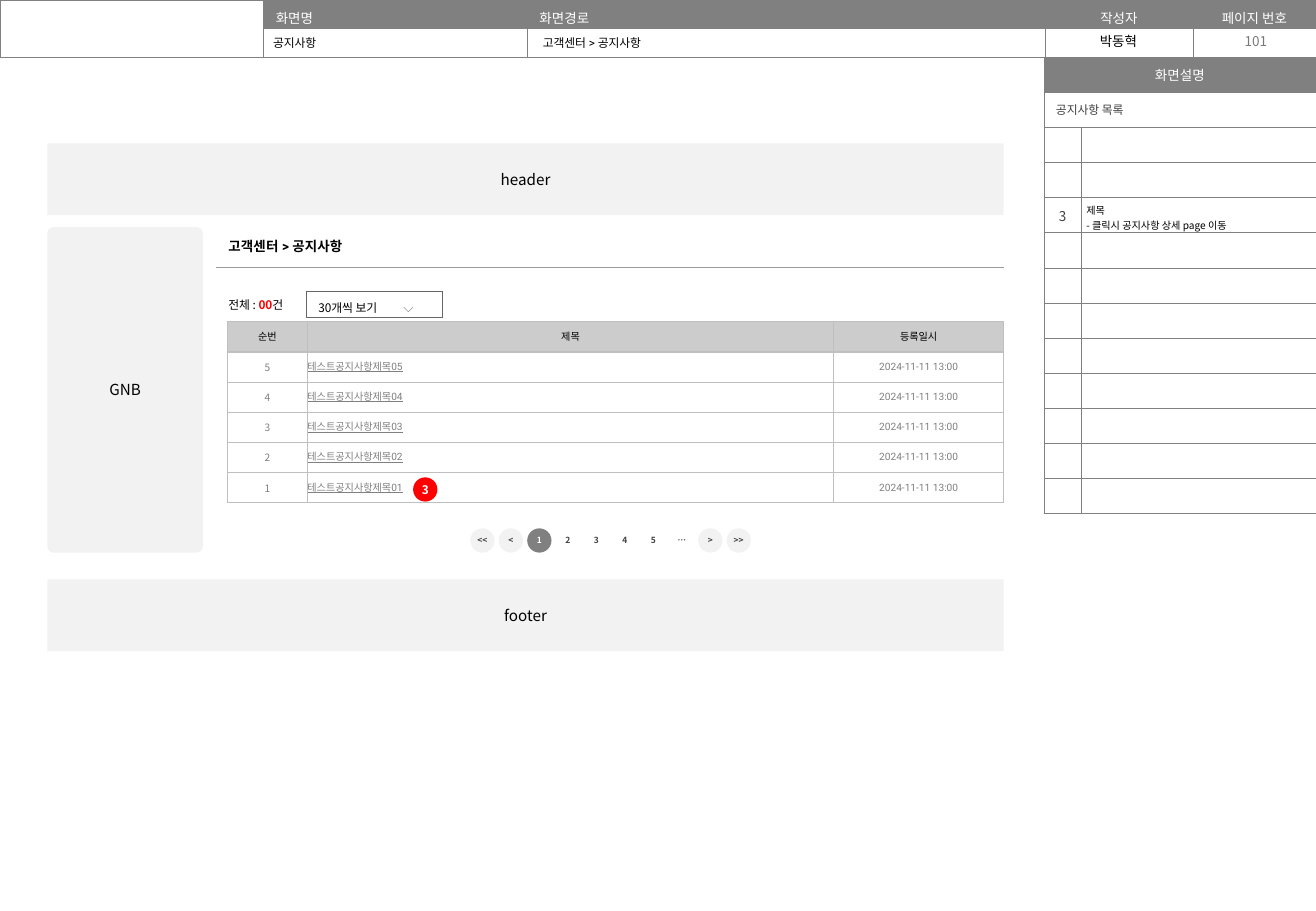
"""Build the notice list wireframe slide with its description panel."""
from dataclasses import dataclass, replace

from lxml.etree import SubElement
from pptx import Presentation
from pptx.dml.color import RGBColor
from pptx.enum.shapes import MSO_SHAPE
from pptx.enum.text import MSO_ANCHOR, PP_ALIGN
from pptx.oxml.ns import qn
from pptx.slide import Slide
from pptx.table import Table, _Cell
from pptx.text.text import TextFrame, _Run
from pptx.util import Inches, Pt

BLACK = RGBColor(0x00, 0x00, 0x00)
WHITE = RGBColor(0xFF, 0xFF, 0xFF)
RED = RGBColor(0xFF, 0x00, 0x00)
GRAY = RGBColor(0x80, 0x80, 0x80)
DARK = RGBColor(0x40, 0x40, 0x40)
PANEL = RGBColor(0xF2, 0xF2, 0xF2)
LIST_HEAD = RGBColor(0xCC, 0xCC, 0xCC)
LIST_LINE = RGBColor(0xBF, 0xBF, 0xBF)
FILTER_LINE = RGBColor(0x66, 0x66, 0x66)
TITLE_LINE = RGBColor(0x99, 0x99, 0x99)
PAGE_NUMBER = RGBColor(0x79, 0x79, 0x79)
NOTO = "Noto Sans CJK KR"
ROBOTO = "Roboto"
NO_STYLE = "{2D5ABB26-0587-4C30-8999-92F81FD0307C}"
LEFT, CENTER = PP_ALIGN.LEFT, PP_ALIGN.CENTER
Margins = tuple[float, float, float, float]
TIGHT: Margins = (0, 0, 0, 0)
NORMAL: Margins = (0.1, 0.05, 0.1, 0.05)
HEADING: Margins = (0.1, 0.05, 0.1, 0)


@dataclass(frozen=True)
class Style:
    size: float
    color: RGBColor = BLACK
    font: str = NOTO
    bold: bool = False
    underline: bool = False


@dataclass(frozen=True)
class Label:
    left: float
    top: float
    width: float
    height: float
    text: str
    style: Style
    align: PP_ALIGN = LEFT


@dataclass(frozen=True)
class Block:
    left: float
    top: float
    width: float
    height: float
    text: str
    style: Style
    fill: RGBColor | None = PANEL
    rounding: float = 0


def format_run(run: _Run, style: Style) -> None:
    """Apply a style to one run, East Asian glyphs included."""
    run.font.size = Pt(style.size)
    run.font.name = style.font
    run.font.bold = style.bold
    run.font.underline = style.underline
    run.font.color.rgb = style.color
    SubElement(run.font._element, qn("a:ea"), typeface=style.font)


def write(frame: TextFrame, text: str, style: Style, align: PP_ALIGN) -> None:
    """Set the text of a frame and format every run."""
    frame.text = text
    for paragraph in frame.paragraphs:
        paragraph.alignment = align
        for run in paragraph.runs:
            format_run(run, style)


def append(frame: TextFrame, text: str, style: Style) -> None:
    """Add a styled run to the first paragraph."""
    run = frame.paragraphs[0].add_run()
    run.text = text
    format_run(run, style)


def set_margins(target: TextFrame | _Cell, margins: Margins) -> None:
    """Set the four inner margins of a frame or cell."""
    (target.margin_left, target.margin_top,
     target.margin_right, target.margin_bottom) = map(Inches, margins)


def add_borders(cell: _Cell, sides: str, color: RGBColor, width: float) -> None:
    """Draw the named sides (from L, R, T, B) of a cell."""
    properties = cell._tc.get_or_add_tcPr()
    for side in sides:
        line = SubElement(properties, qn(f"a:ln{side}"), w=str(Pt(width)))
        fill = SubElement(line, qn("a:solidFill"))
        SubElement(fill, qn("a:srgbClr"), val=str(color))


def add_grid(slide: Slide, left: float, top: float, height: float, columns: list[float],
             row_count: int, color: RGBColor, width: float, sides: str = "LRTB") -> Table:
    """Add an unstyled table with equal rows and uniform borders."""
    table = slide.shapes.add_table(row_count, len(columns), Inches(left), Inches(top),
                                   Inches(sum(columns)), Inches(height)).table
    table._tbl.tblPr.find(qn("a:tableStyleId")).text = NO_STYLE
    table.first_row = table.horz_banding = False
    for column, column_width in zip(table.columns, columns):
        column.width = Inches(column_width)
    for row in table.rows:
        row.height = Inches(height / row_count)
        for cell in row.cells:
            add_borders(cell, sides, color, width)
            SubElement(cell.text_frame.paragraphs[0]._p, qn("a:endParaRPr"), sz="600")
    return table


def fill_cell(cell: _Cell, text: str, style: Style, align: PP_ALIGN = LEFT,
              fill: RGBColor | None = None, margins: Margins = NORMAL) -> None:
    """Write and paint one cell."""
    set_margins(cell, margins)
    cell.vertical_anchor = MSO_ANCHOR.MIDDLE
    write(cell.text_frame, text, style, align)
    if fill is not None:
        cell.fill.solid()
        cell.fill.fore_color.rgb = fill


def add_label(slide: Slide, label: Label) -> None:
    """Add a text box."""
    frame = slide.shapes.add_textbox(Inches(label.left), Inches(label.top),
                                     Inches(label.width), Inches(label.height)).text_frame
    frame.word_wrap = True
    frame.vertical_anchor = MSO_ANCHOR.MIDDLE
    write(frame, label.text, label.style, label.align)


def add_block(slide: Slide, block: Block) -> None:
    """Add a rounded rectangle with centred text."""
    shape = slide.shapes.add_shape(MSO_SHAPE.ROUNDED_RECTANGLE, Inches(block.left),
                                   Inches(block.top), Inches(block.width), Inches(block.height))
    shape.adjustments[0] = block.rounding
    shape.shadow.inherit = False
    shape.line.fill.background()
    if block.fill is None:
        shape.fill.background()
    else:
        shape.fill.solid()
        shape.fill.fore_color.rgb = block.fill
    frame = shape.text_frame
    set_margins(frame, TIGHT)
    frame.vertical_anchor = MSO_ANCHOR.MIDDLE
    write(frame, block.text, block.style, CENTER)


def add_page_header(slide: Slide) -> None:
    """Draw the screen information bar."""
    table = add_grid(slide, 0, 0, 0.47, [2.17, 2.17, 4.26, 1.22, 1.01], 2, GRAY, 0.25)
    table.cell(0, 0).merge(table.cell(1, 0))
    headings = [("화면명", LEFT), ("화면경로", LEFT), ("작성자", CENTER), ("페이지 번호", CENTER)]
    for column, (text, align) in enumerate(headings, 1):
        fill_cell(table.cell(0, column), text, Style(8, WHITE), align, GRAY, HEADING)
    for label in (
        Label(8.59, 0.22, 1.23, 0.24, "박동혁", Style(8), CENTER),
        Label(9.83, 0.22, 1.01, 0.24, "101", Style(8, PAGE_NUMBER), CENTER),
        Label(2.15, 0.24, 2.22, 0.22, "공지사항", Style(7, font=ROBOTO)),
        Label(4.37, 0.24, 4.21, 0.22, "고객센터 > 공지사항", Style(7, font=ROBOTO)),
    ):
        add_label(slide, label)


def add_description(slide: Slide) -> None:
    """Draw the screen description panel."""
    table = add_grid(slide, 8.59, 0.47, 3.76, [0.31, 1.93], 13, GRAY, 0.25)
    for row in (0, 1):
        table.cell(row, 0).merge(table.cell(row, 1))
    fill_cell(table.cell(0, 0), "화면설명", Style(8, WHITE), CENTER, GRAY)
    fill_cell(table.cell(1, 0), "공지사항 목록", Style(7, DARK))
    fill_cell(table.cell(4, 0), "3", Style(8, DARK), CENTER)
    fill_cell(table.cell(4, 1), "제목\n- 클릭시 공지사항 상세 page 이동", Style(6),
              margins=(0.04, 0.04, 0.04, 0))


def add_notice_list(slide: Slide) -> None:
    """Draw the breadcrumb, the notice table and its filter."""
    title = add_grid(slide, 1.78, 1.87, 0.33, [3.24, 3.24], 1, TITLE_LINE, 0.75, "B")
    fill_cell(title.cell(0, 0), "고객센터 > 공지사항", Style(8, font=ROBOTO, bold=True))

    notices = add_grid(slide, 1.87, 2.65, 1.49, [0.66, 4.33, 1.4], 6, LIST_LINE, 0.75)
    for column, text in enumerate(("순번", "제목", "등록일시")):
        fill_cell(notices.cell(0, column), text, Style(6, font=ROBOTO), CENTER, LIST_HEAD, TIGHT)
    date_style = Style(6, GRAY, ROBOTO)
    for row, number in enumerate(range(5, 0, -1), 1):
        for column, (text, style, align) in enumerate((
            (str(number), Style(6, GRAY), CENTER),
            (f"테스트공지사항제목{number:02}", replace(date_style, underline=True), LEFT),
            ("2024-11-11 13:00", date_style, CENTER),
        )):
            fill_cell(notices.cell(row, column), text, style, align, WHITE, TIGHT)

    controls = add_grid(slide, 1.78, 2.4, 0.21, [0.74, 1.12], 1, FILTER_LINE, 0.75, "")
    count, page_size = controls.cell(0, 0), controls.cell(0, 1)
    add_borders(count, "R", FILTER_LINE, 0.75)
    add_borders(page_size, "LRTB", FILTER_LINE, 0.75)
    fill_cell(count, "전체 : ", Style(7), margins=(0.1, 0.04, 0, 0.04))
    append(count.text_frame, "00", Style(7, RED, bold=True))
    append(count.text_frame, "건", Style(7))
    fill_cell(page_size, "30개씩 보기\t", Style(7), margins=(0.1, 0.04, 0.1, 0.04))
    append(page_size.text_frame, "⌵", Style(8, GRAY))
    tabs = SubElement(page_size.text_frame.paragraphs[0]._p.get_or_add_pPr(), qn("a:tabLst"))
    SubElement(tabs, qn("a:tab"), pos=str(Inches(0.7)), algn="l")


def add_pagination(slide: Slide) -> None:
    """Draw the row of page buttons."""
    marks = ("<<", "<", "1", "2", "3", "4", "5", "⋯", ">", ">>")
    pitch = (5.98 - 3.87) / (len(marks) - 1)
    for index, mark in enumerate(marks):
        current, arrow = mark == "1", mark[0] in "<>"
        fill = GRAY if current else PANEL if arrow else None
        style = Style(5, WHITE if current else DARK, bold=True)
        add_block(slide, Block(3.87 + index * pitch, 4.35, 0.2, 0.2, mark, style, fill,
                               0.5 if fill else 0))


def main() -> None:
    """Build and save the presentation."""
    presentation = Presentation()
    presentation.slide_width, presentation.slide_height = Inches(10.83), Inches(7.5)
    slide = presentation.slides.add_slide(presentation.slide_layouts[6])
    add_page_header(slide)
    add_description(slide)
    for block in (
        Block(0.39, 1.18, 7.87, 0.59, "header", Style(9)),
        Block(0.39, 1.87, 1.28, 2.68, "GNB", Style(9), rounding=0.04),
        Block(0.39, 4.77, 7.87, 0.59, "footer", Style(9)),
    ):
        add_block(slide, block)
    add_notice_list(slide)
    add_pagination(slide)
    add_block(slide, Block(3.4, 3.93, 0.2, 0.2, "3", Style(7, WHITE, bold=True), RED, 0.5))
    presentation.save("out.pptx")


if __name__ == "__main__":
    main()
